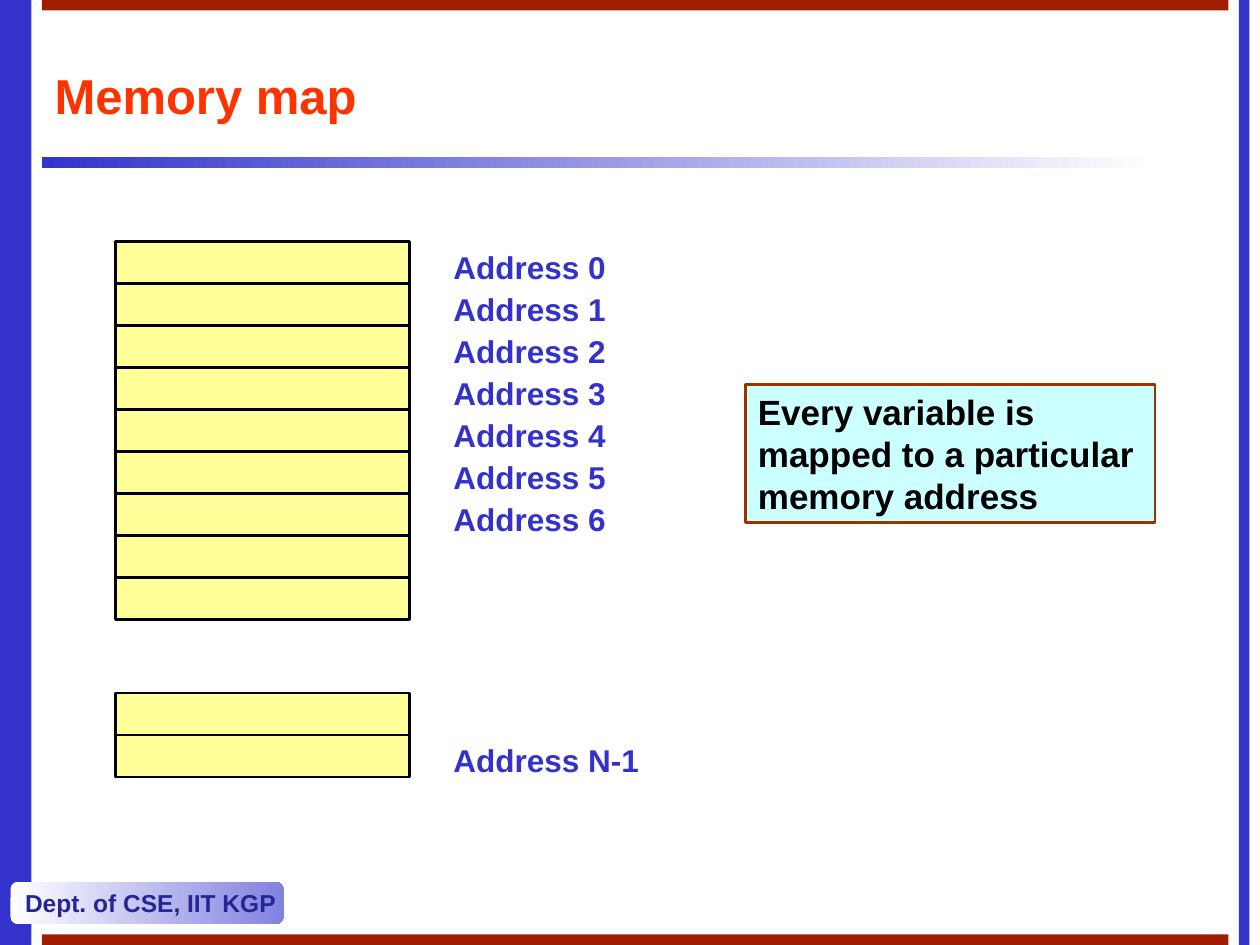
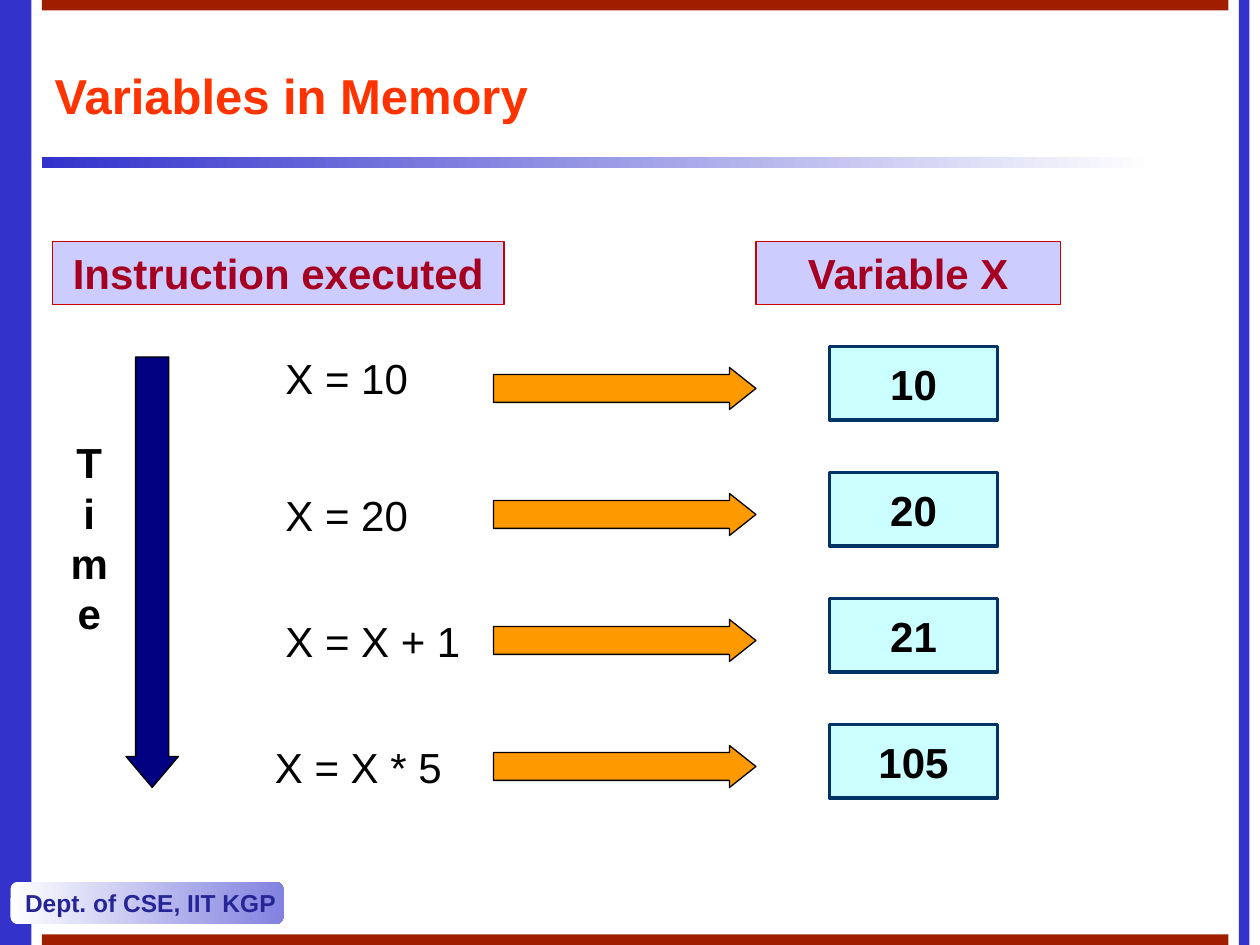
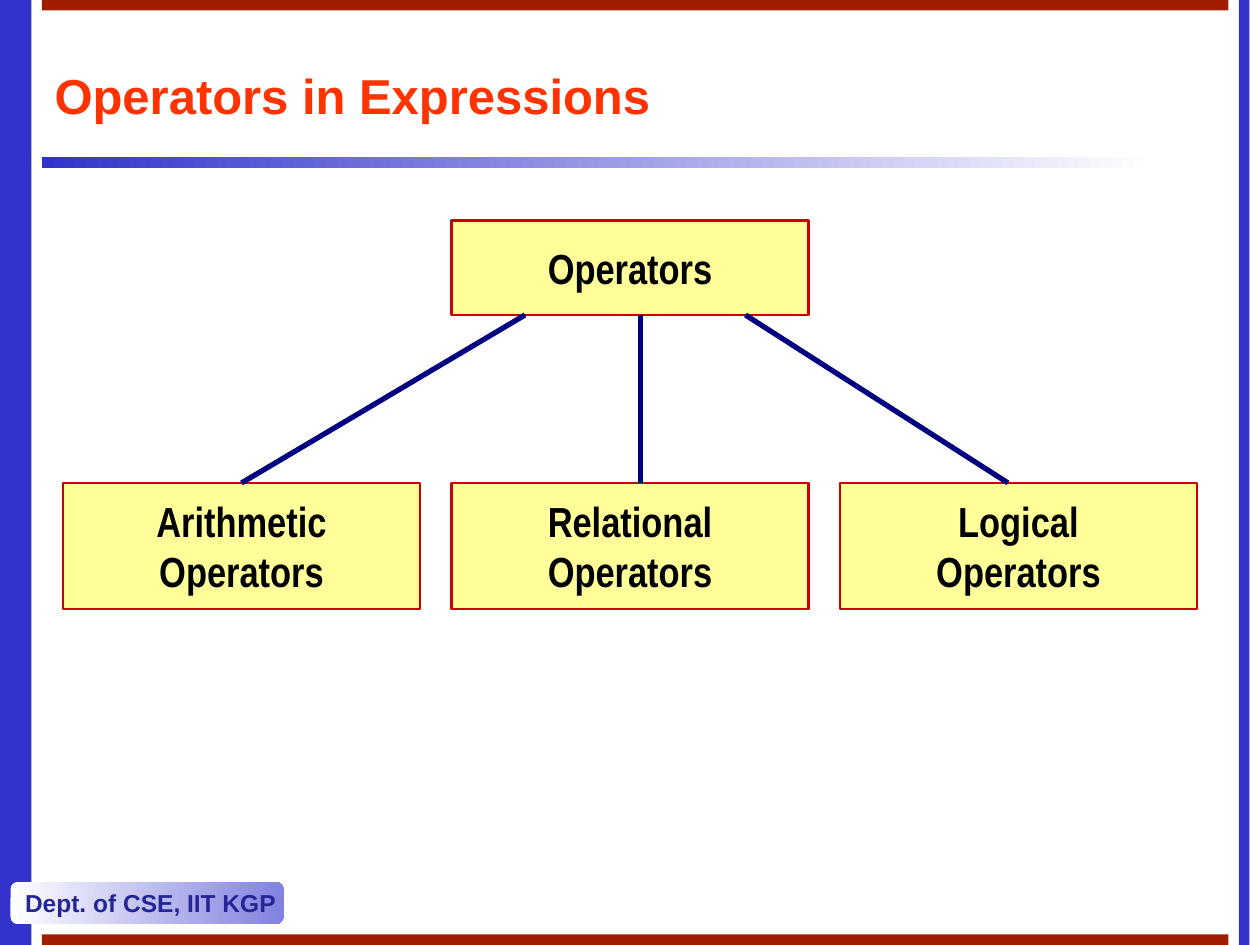
import pptx
import pptx.dml.color
import pptx.enum.shapes
import pptx.enum.text
import pptx.util
from pptx.oxml.ns import qn
from lxml import etree

Pt = pptx.util.Pt
RGBColor = pptx.dml.color.RGBColor
Shape = pptx.enum.shapes.MSO_SHAPE
Align = pptx.enum.text.PP_ALIGN
Anchor = pptx.enum.text.MSO_ANCHOR

WHITE = RGBColor(0xFF, 0xFF, 0xFF)
BLACK = RGBColor(0x00, 0x00, 0x00)
BLUE = RGBColor(0x33, 0x33, 0xCC)
SOFT_BLUE = RGBColor(0x82, 0x82, 0xE0)
DEEP_BLUE = RGBColor(0x25, 0x25, 0x95)
NAVY = RGBColor(0x00, 0x00, 0x80)
TEAL = RGBColor(0x00, 0x33, 0x66)
BRICK = RGBColor(0xA0, 0x1E, 0x00)
BROWN = RGBColor(0x99, 0x33, 0x00)
RED = RGBColor(0xCC, 0x00, 0x00)
CRIMSON = RGBColor(0xA5, 0x00, 0x21)
TITLE_RED = RGBColor(0xFF, 0x33, 0x00)
ORANGE = RGBColor(0xFF, 0x99, 0x00)
YELLOW = RGBColor(0xFF, 0xFF, 0x99)
CYAN = RGBColor(0xCC, 0xFF, 0xFF)
LAVENDER = RGBColor(0xCC, 0xCC, 0xFF)

SLIDE_WIDTH, SLIDE_HEIGHT = 720, 540
BAND = 6


def points(*lengths):
    return [Pt(length) for length in lengths]


def add_box(shapes, box, fill, line=None, weight=0.75, kind=Shape.RECTANGLE, adjust=()):
    shape = shapes.add_shape(kind, *points(*box))
    shape.shadow.inherit = False
    for index, value in enumerate(adjust):
        shape.adjustments[index] = value
    if isinstance(fill, tuple) and not isinstance(fill, RGBColor):
        shape.fill.gradient()
        shape.fill.gradient_angle = 0
        for stop, colour in zip(shape.fill.gradient_stops, fill):
            stop.color.rgb = colour
    else:
        shape.fill.solid()
        shape.fill.fore_color.rgb = fill
    if line is None:
        shape.line.fill.background()
    else:
        shape.line.color.rgb = line
        shape.line.width = Pt(weight)
    return shape


def write(shape, text, size, colour=BLACK, bold=True, align=Align.LEFT,
          anchor=Anchor.TOP, wrap=True, font="Arial"):
    frame = shape.text_frame
    frame.text = text
    frame.word_wrap = wrap
    frame.vertical_anchor = anchor
    for paragraph in frame.paragraphs:
        paragraph.alignment = align
        for run in paragraph.runs:
            run.font.name = font
            run.font.size = Pt(size)
            run.font.bold = bold
            run.font.color.rgb = colour


def add_label(shapes, box, text, size, **style):
    write(shapes.add_textbox(*points(*box)), text, size, **style)


def add_line(shapes, start, end, colour, weight):
    line = shapes.add_connector(pptx.enum.shapes.MSO_CONNECTOR.STRAIGHT,
                                *points(*start, *end))
    line.line.color.rgb = colour
    line.line.width = Pt(weight)
    etree.SubElement(line._element.spPr, qn("a:effectLst"))
    return line


def new_slide(deck, title, title_width=678):
    slide = deck.slides.add_slide(deck.slide_layouts[5])
    shapes = slide.shapes
    add_box(shapes, (0, 0, 18, SLIDE_HEIGHT), BLUE)
    add_box(shapes, (708, 0, BAND, SLIDE_HEIGHT), BLUE)
    for top in (0, SLIDE_HEIGHT - BAND):
        add_box(shapes, (24, top, 678, BAND), BRICK)
    add_box(shapes, (24, 90, 636, BAND), (BLUE, WHITE))
    department = add_box(shapes, (6, 504, 156, 24), (WHITE, SOFT_BLUE),
                         kind=Shape.ROUNDED_RECTANGLE, adjust=(0.17,))
    write(department, "Dept. of CSE, IIT KGP", 14, DEEP_BLUE,
          anchor=Anchor.MIDDLE, wrap=False)
    heading = shapes.title
    heading.left, heading.top, heading.width, heading.height = points(24, 24, title_width, 60)
    write(heading, title, 28, TITLE_RED, anchor=Anchor.MIDDLE)
    return shapes


def add_cells(shapes, left, top, addresses):
    width, height = 168, 24
    for row, address in enumerate(addresses):
        row_top = top + row * height
        add_box(shapes, (left, row_top, width, height), YELLOW, BLACK, 1.5)
        if address:
            add_label(shapes, (left + width + 18, row_top, 126, 28.8),
                      f"Address {address}", 18, colour=BLUE)


def memory_map(deck):
    shapes = new_slide(deck, "Memory map")
    add_cells(shapes, 66, 138, [str(number) for number in range(7)] + ["", ""])
    add_cells(shapes, 66, 396, ["", "N-1"])
    mapping = add_box(shapes, (426, 219.6, 234, 79.2), CYAN, BROWN, 1.5)
    write(mapping, "Every variable is mapped to a particular memory address", 20)


def add_heading(shapes, box, text):
    write(add_box(shapes, box, LAVENDER, RED), text, 24, CRIMSON, align=Align.CENTER)


def add_timeline(shapes, left, top):
    add_label(shapes, (left, top + 42, 54, 166), "T\ni\nm\ne", 24, align=Align.CENTER)
    add_box(shapes, (left + 48, top, 30, 246), NAVY, BLACK,
            kind=Shape.DOWN_ARROW, adjust=(0.63, 0.59))


def add_step(shapes, left, top, instruction, shift, value):
    add_label(shapes, (left + shift[0], top + shift[1], 120, 36), instruction, 24, bold=False)
    result = shapes.add_group_shape().shapes
    add_box(result, (left + 126, top + 12, 150, 24), ORANGE, BLACK,
            kind=Shape.RIGHT_ARROW, adjust=(0.66, 0.63))
    variable = add_box(result, (left + 318, top, 96, 42), CYAN, TEAL, 2)
    write(variable, value, 24, align=Align.CENTER, anchor=Anchor.MIDDLE, wrap=False)


def variables_in_memory(deck):
    shapes = new_slide(deck, "Variables in Memory", 612)
    add_heading(shapes, (30, 138, 258, 36), "Instruction executed")
    add_heading(shapes, (432, 138, 174, 36), "Variable X")
    add_timeline(shapes, 24, 204)
    steps = [("X = 10", (0, 0), "10"), ("X = 20", (0, 6), "20"),
             ("X = X + 1", (0, 6), "21"), ("X = X * 5", (-6, 6), "105")]
    for row, step in enumerate(steps):
        add_step(shapes, 156, 198 + row * 72, *step)


def add_operator(shapes, box, text):
    operator = add_box(shapes, box, YELLOW, RED, 1.5)
    write(operator, text, 24, align=Align.CENTER, anchor=Anchor.MIDDLE,
          wrap=False, font="Arial Narrow")
    return operator


def add_operator_tree(shapes, left, top):
    width, pitch, root_height, branch_top = 204, 222, 54, top + 150
    add_operator(shapes, (left + pitch, top, width, root_height), "Operators")
    branches = [("Arithmetic", 102, 264), ("Relational", 330, 330), ("Logical", 540, 390)]
    for column, (family, foot, head) in enumerate(branches):
        offset = column * pitch
        branch = add_operator(shapes, (left + offset, branch_top, width, 72),
                              f"{family}\nOperators")
        line = add_line(shapes, (left + foot, branch_top),
                        (left + head, top + root_height), NAVY, 3)
        if foot == offset + width / 2:
            line.begin_connect(branch, 0)


def operators_in_expressions(deck):
    add_operator_tree(new_slide(deck, "Operators in Expressions"), 36, 126)


def main():
    deck = pptx.Presentation()
    deck.slide_width, deck.slide_height = points(SLIDE_WIDTH, SLIDE_HEIGHT)
    memory_map(deck)
    variables_in_memory(deck)
    operators_in_expressions(deck)
    deck.save("out.pptx")


if __name__ == "__main__":
    main()
